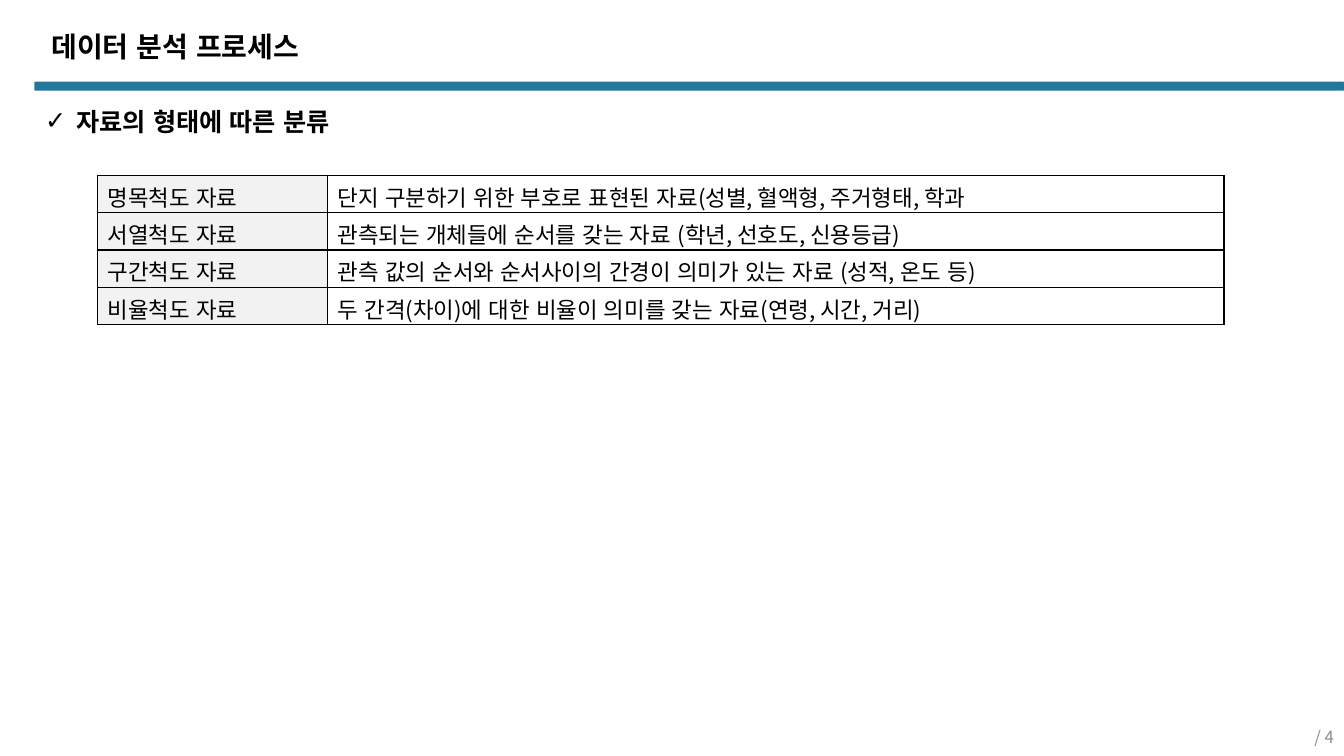
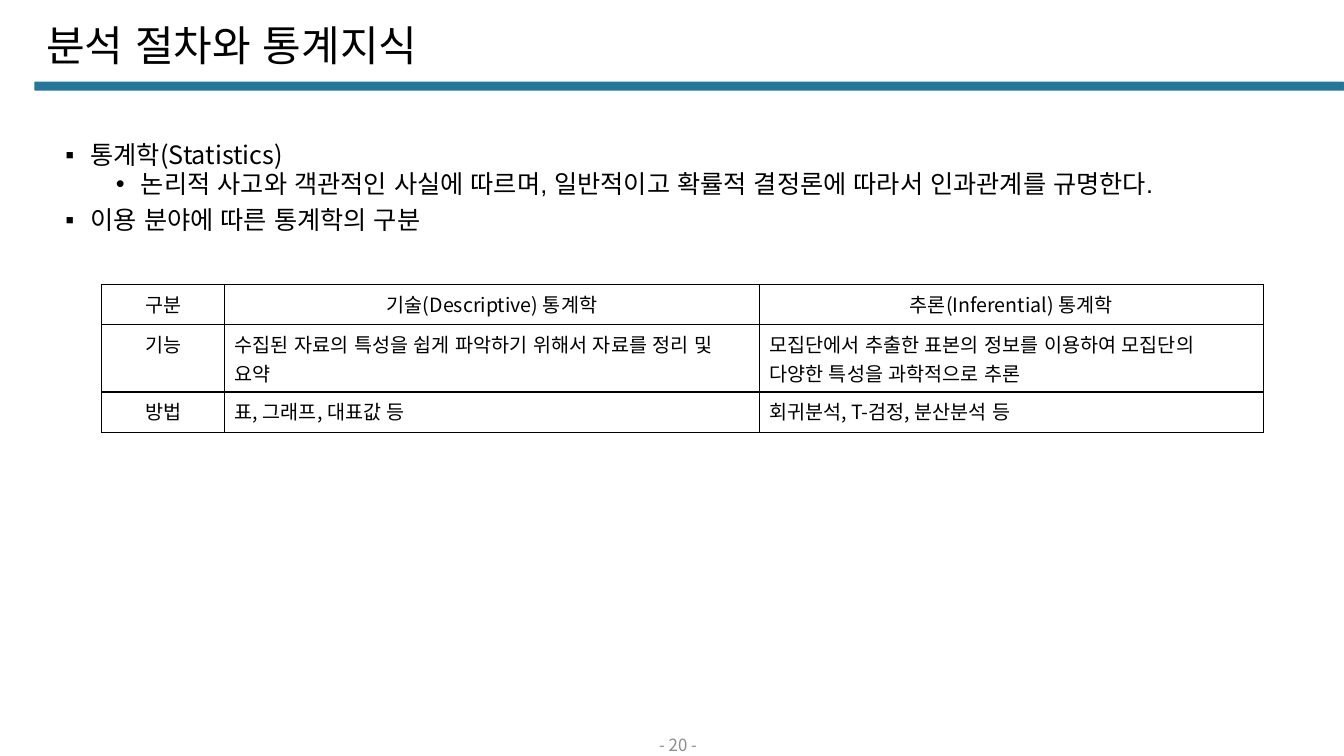
import pptx
import pptx.dml.color
import pptx.enum.lang
import pptx.enum.shapes
import pptx.enum.text
import pptx.oxml
import pptx.oxml.ns
import pptx.util

Inches = pptx.util.Inches
Pt = pptx.util.Pt
RGBColor = pptx.dml.color.RGBColor
Align = pptx.enum.text.PP_ALIGN
Anchor = pptx.enum.text.MSO_ANCHOR

BLACK = RGBColor(0x00, 0x00, 0x00)
GRAY = RGBColor(0x8C, 0x8C, 0x8C)
TEAL = RGBColor(0x22, 0x77, 0x9B)
LABEL_FILL = RGBColor(0xF2, 0xF2, 0xF2)
FONT = "Noto Sans CJK KR"

SCALES = [
    ("명목척도 자료", "단지 구분하기 위한 부호로 표현된 자료(성별, 혈액형, 주거형태, 학과"),
    ("서열척도 자료", "관측되는 개체들에 순서를 갖는 자료 (학년, 선호도, 신용등급)"),
    ("구간척도 자료", "관측 값의 순서와 순서사이의 간경이 의미가 있는 자료 (성적, 온도 등)"),
    ("비율척도 자료", "두 간격(차이)에 대한 비율이 의미를 갖는 자료(연령, 시간, 거리)"),
]
STATISTICS = [
    ("구분", "기술(Descriptive) 통계학", "추론(Inferential) 통계학"),
    ("기능", "수집된 자료의 특성을 쉽게 파악하기 위해서 자료를 정리 및 요약",
     "모집단에서 추출한 표본의 정보를 이용하여 모집단의 다양한 특성을 과학적으로 추론"),
    ("방법", "표, 그래프, 대표값 등", "회귀분석, T-검정, 분산분석 등"),
]


def add_element(parent, tag, **attributes):
    element = pptx.oxml.parse_xml(
        f'<a:{tag} xmlns:a="http://schemas.openxmlformats.org/drawingml/2006/main"/>')
    for name, value in attributes.items():
        element.set(name, str(value))
    parent.append(element)
    return element


def add_run(paragraph, text, size, color=BLACK, bold=False, latin=FONT):
    run = paragraph.add_run()
    run.text = text
    font = run.font
    font.size = Pt(size)
    font.bold = bold
    font.color.rgb = color
    font.name = latin
    font.language_id = pptx.enum.lang.MSO_LANGUAGE_ID.KOREAN
    add_element(run._r.get_or_add_rPr(), "ea", typeface=FONT)


def add_bullet(paragraph, mark, margin, hanging):
    properties = paragraph._p.get_or_add_pPr()
    properties.set("marL", str(Inches(margin)))
    properties.set("indent", str(-Inches(hanging)))
    add_element(properties, "buFont", typeface="Arial")
    add_element(properties, "buChar", char=mark)


def add_text_frame(slide, box, left_inset=0.1, anchor=Anchor.TOP):
    frame = slide.shapes.add_textbox(*map(Inches, box)).text_frame
    frame.word_wrap = True
    frame.vertical_anchor = anchor
    frame.margin_left = Inches(left_inset)
    frame.margin_top = frame.margin_bottom = 0
    return frame


def add_band(slide):
    band = slide.shapes.add_shape(
        pptx.enum.shapes.MSO_SHAPE.ROUNDED_RECTANGLE,
        Inches(0.34), Inches(0.81), Inches(12.99), Inches(0.09))
    band.adjustments[0] = 0.13
    band.shadow.inherit = False
    band.fill.solid()
    band.fill.fore_color.rgb = TEAL
    band.line.fill.background()


def add_title(slide, box, text, size, bold=False, left_inset=0.1):
    paragraph = add_text_frame(slide, box, left_inset).paragraphs[0]
    paragraph.line_spacing = 0.9
    add_run(paragraph, text, size, bold=bold)


def add_page_number(slide, box, text, alignment):
    paragraph = add_text_frame(slide, box, anchor=Anchor.MIDDLE).paragraphs[0]
    paragraph.alignment = alignment
    add_run(paragraph, text, 12, GRAY)


def add_heading(slide, box, text):
    paragraph = add_text_frame(slide, box).paragraphs[0]
    add_bullet(paragraph, "✓", 0.31, 0.31)
    add_run(paragraph, text, 18, bold=True)


def add_outline(slide, box, items):
    frame = add_text_frame(slide, box)
    for index, (level, text) in enumerate(items):
        paragraph = frame.paragraphs[0] if index == 0 else frame.add_paragraph()
        paragraph.level = level
        paragraph.line_spacing = 0.9
        if index:
            paragraph.space_before = Pt(1 if level else 6)
        add_bullet(paragraph, "•" if level else "▪", 0.25 + 0.5 * level, 0.25)
        add_run(paragraph, text, 18, latin="Arial" if level else FONT)


def set_borders(cell):
    properties = cell._tc.get_or_add_tcPr()
    for index, tag in enumerate(("lnL", "lnR", "lnT", "lnB")):
        line = add_element(properties, tag, w=Pt(1))
        add_element(add_element(line, "solidFill"), "srgbClr", val=BLACK)
        properties.remove(line)
        properties.insert(index, line)


def add_grid(slide, left, top, widths, heights, rows, size,
             label_fill=None, centered=False, bottom_margin=0.05):
    table = slide.shapes.add_table(
        len(rows), len(widths), Inches(left), Inches(top),
        Inches(sum(widths)), Inches(sum(heights))).table
    table.first_row = table.horz_banding = False
    for column, width in zip(table.columns, widths):
        column.width = Inches(width)
    for row, height in zip(table.rows, heights):
        row.height = Inches(height)
    for row_index, texts in enumerate(rows):
        for column_index, text in enumerate(texts):
            cell = table.cell(row_index, column_index)
            cell.margin_top = Inches(0.05)
            cell.margin_bottom = Inches(bottom_margin)
            if label_fill and column_index == 0:
                cell.fill.solid()
                cell.fill.fore_color.rgb = label_fill
            else:
                cell.fill.background()
            set_borders(cell)
            paragraph = cell.text_frame.paragraphs[0]
            if centered and 0 in (row_index, column_index):
                paragraph.alignment = Align.CENTER
            add_run(paragraph, text, size)


def add_blank_slide(presentation):
    slide = presentation.slides.add_slide(presentation.slide_layouts[6])
    add_band(slide)
    return slide


def build_scales_slide(presentation):
    slide = add_blank_slide(presentation)
    add_page_number(slide, (10.22, 7.19, 3.11, 0.23), "/ 4", Align.RIGHT)
    add_heading(slide, (0.35, 1.05, 12.71, 0.71), "자료의 형태에 따른 분류")
    add_title(slide, (0.35, 0.33, 7.9, 0.47), "데이터 분석 프로세스", 20,
              bold=True, left_inset=0.16)
    add_grid(slide, 0.97, 1.74, (2.28, 8.89), [0.37] * len(SCALES), SCALES, 16,
             label_fill=LABEL_FILL, bottom_margin=0)


def build_statistics_slide(presentation):
    slide = add_blank_slide(presentation)
    add_page_number(slide, (5.17, 7.27, 3.11, 0.23), "- 20 -", Align.CENTER)
    add_title(slide, (0.36, 0.25, 11.5, 0.44), "분석 절차와 통계지식", 30)
    add_outline(slide, (0.55, 1.42, 12.25, 1.29), [
        (0, "통계학(Statistics)"),
        (1, "논리적 사고와 객관적인 사실에 따르며, 일반적이고 확률적 결정론에 따라서 인과관계를 규명한다."),
        (0, "이용 분야에 따른 통계학의 구분"),
    ])
    add_grid(slide, 1.01, 2.82, (1.22, 5.3, 5), (0.4, 0.67, 0.4), STATISTICS, 14,
             centered=True)


def main():
    presentation = pptx.Presentation()
    presentation.slide_width = Inches(13.33)
    presentation.slide_height = Inches(7.5)
    build_scales_slide(presentation)
    build_statistics_slide(presentation)
    presentation.save("out.pptx")


if __name__ == "__main__":
    main()
